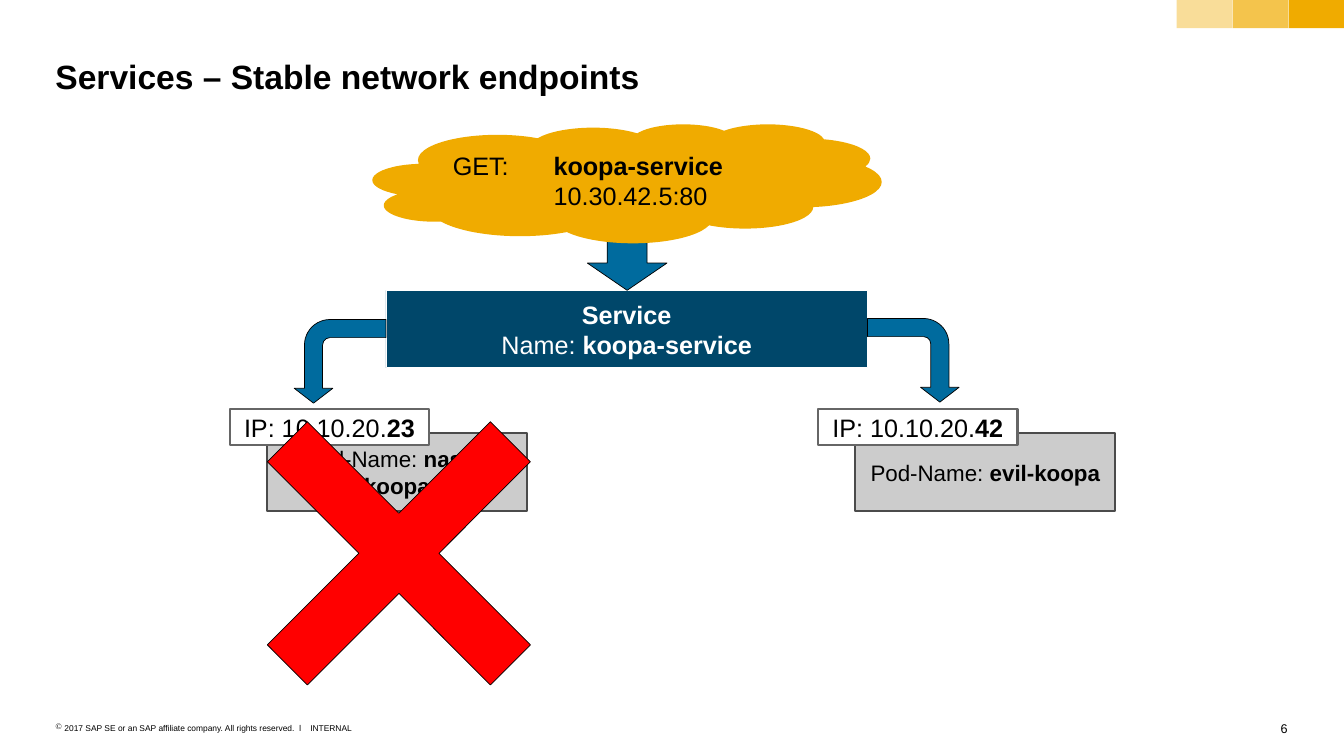
from dataclasses import dataclass

from pptx import Presentation
from pptx import util as u
from pptx.dml.color import RGBColor
from pptx.enum import shapes, text
from pptx.oxml.ns import qn
from lxml import etree

Form = shapes.MSO_SHAPE
Align = text.PP_ALIGN


@dataclass(frozen=True)
class Theme:
    """Colours, type sizes and font of the deck."""
    font: str = "Arial"
    black: str = "000000"
    white: str = "FFFFFF"
    gold: str = "F0AB00"
    navy: str = "00476A"
    blue: str = "006B9E"
    red: str = "FF0000"
    pod: str = "CCCCCC"
    edge: str = "4B4B4B"
    rim: str = "666666"
    head: int = 24
    body: int = 18
    label: int = 16
    page: int = 9
    foot: int = 6


class Deck:
    """Draws styled elements on the current slide."""

    def __init__(self, theme):
        self.theme = theme
        self.prs = Presentation()
        self.prs.slide_width = u.Inches(13.34)
        self.prs.slide_height = u.Inches(7.5)
        self.slide = self.prs.slides.add_slide(self.prs.slide_layouts[5])

    def fill_text(self, frame, lines, size, color=None, align=Align.LEFT,
                  inset=(0, 0), anchor=text.MSO_ANCHOR.TOP, wrap=True,
                  bullet=None, hang=0, tab=None):
        """Fill a text frame with lines of (words, bold) runs."""
        frame.word_wrap = wrap
        frame.auto_size = text.MSO_AUTO_SIZE.NONE
        frame.vertical_anchor = anchor
        frame.margin_left = frame.margin_right = u.Inches(inset[0])
        frame.margin_top = frame.margin_bottom = u.Inches(inset[1])
        para = frame.paragraphs[0]
        para.alignment = align
        props = para._p.get_or_add_pPr()
        if bullet:
            props.set("marL", str(u.Inches(hang)))
            props.set("indent", str(-u.Inches(hang)))
            etree.SubElement(props, qn("a:buChar"), char=bullet)
        if tab:
            tabs = etree.SubElement(props, qn("a:tabLst"))
            etree.SubElement(tabs, qn("a:tab"), pos=str(u.Inches(tab)), algn="l")
        para.font.name = self.theme.font
        para.font.size = u.Pt(size)
        para.font.color.rgb = RGBColor.from_string(color or self.theme.black)
        for i, line in enumerate(lines):
            if i:
                para.add_line_break()
            for words, bold in line:
                run = para.add_run()
                run.text = words
                run.font.bold = bold

    def title(self, words, *box):
        """Place the slide title."""
        ph = self.slide.shapes.title
        ph.left, ph.top, ph.width, ph.height = map(u.Inches, box)
        self.fill_text(ph.text_frame, [[(words, True)]], self.theme.head)

    def note(self, words, box, size, **style):
        """Add a small text box."""
        area = self.slide.shapes.add_textbox(*map(u.Inches, box))
        self.fill_text(area.text_frame, [[(words, False)]], size, wrap=False, **style)

    def shape(self, form, box, fill, line=None, width=0.5, adj=(), turn=0,
              flip=False, alpha=None, home=None):
        """Add a filled preset shape."""
        item = (home or self.slide).shapes.add_shape(form, *map(u.Inches, box))
        item.shadow.inherit = False
        item.fill.solid()
        item.fill.fore_color.rgb = RGBColor.from_string(fill)
        if alpha:
            tint = item._element.spPr.find(".//" + qn("a:srgbClr"))
            etree.SubElement(tint, qn("a:alpha"), val=str(alpha * 1000))
        if line:
            item.line.color.rgb = RGBColor.from_string(line)
            item.line.width = u.Pt(width)
        else:
            item.line.fill.background()
        for i, value in enumerate(adj):
            item.adjustments[i] = value
        item.rotation = turn
        if flip:
            item._element.spPr.find(qn("a:xfrm")).set("flipH", "1")
        return item

    def label(self, item, lines, size, color=None, align=Align.CENTER, tab=None):
        """Set text in the middle of a shape."""
        self.fill_text(item.text_frame, lines, size, color, align, (0.1, 0.08),
                       text.MSO_ANCHOR.MIDDLE, tab=tab)

    def pod(self, left, name, tail):
        """Add a pod with its address tag."""
        t = self.theme
        group = self.slide.shapes.add_group_shape()
        parts = (
            ((left + 0.37, 4.3, 2.58, 0.77), t.pod, t.edge, "Pod-Name: ", name, t.label),
            ((left, 4.06, 1.98, 0.36), t.white, t.rim, "IP: 10.10.20.", tail, t.body),
        )
        for box, fill, line, lead, key, size in parts:
            item = self.shape(Form.RECTANGLE, box, fill, line, 1.5, home=group)
            self.label(item, [[(lead, False), (key, True)]], size)

    def bend(self, left, top, turn, flip=False):
        """Add a bent arrow from the service to a pod."""
        t = self.theme
        self.shape(Form.BENT_ARROW, (left, top, 0.83, 0.91), t.blue, t.black,
                   adj=(0.217, 0.231, 0.177, 0.304), turn=turn, flip=flip)


def main():
    """Build the slide and save it."""
    t = Theme()
    deck = Deck(t)

    deck.note("6", (12.63, 7.15, 0.15, 0.15), t.page, align=Align.RIGHT)
    deck.note("INTERNAL", (3.08, 7.17, 0.42, 0.1), t.foot)
    deck.note("2017 SAP SE or an SAP affiliate company. All rights reserved.\tǀ",
              (0.55, 7.17, 2.48, 0.1), t.foot, bullet="©", hang=0.09, tab=2.42)
    for i, alpha in enumerate((None, 70, 40)):
        deck.shape(Form.RECTANGLE, (12.79 - i * 0.555, 0, 0.55, 0.28), t.gold, alpha=alpha)
    deck.title("Services – Stable network endpoints", 0.55, 0.55, 12.23, 0.4)

    deck.pod(2.28, "nasty-koopa", "23")
    deck.pod(8.12, "evil-koopa", "42")
    deck.shape(Form.MATH_MULTIPLY, (1.83, 3.36, 4.26, 4.26), t.red, t.black, adj=(0.132,))

    service = deck.shape(Form.RECTANGLE, (3.83, 2.88, 4.78, 0.77), t.navy, t.white)
    deck.label(service, [[("Service", True)], [("Name: ", False), ("koopa-service", True)]],
               t.body, t.white)
    deck.bend(2.96, 3.13, 270, True)
    deck.bend(8.65, 3.12, 90)
    deck.shape(Form.DOWN_ARROW, (5.83, 2.34, 0.79, 0.54), t.blue, t.black)

    cloud = deck.shape(Form.CLOUD, (3.7, 1.23, 5.05, 1.18), t.gold)
    deck.label(cloud, [[("GET:\t", False), ("koopa-service", True)],
                       [("\t10.30.42.5:80", False)]], t.body, align=Align.LEFT, tab=1)

    deck.prs.save("out.pptx")


if __name__ == "__main__":
    main()
